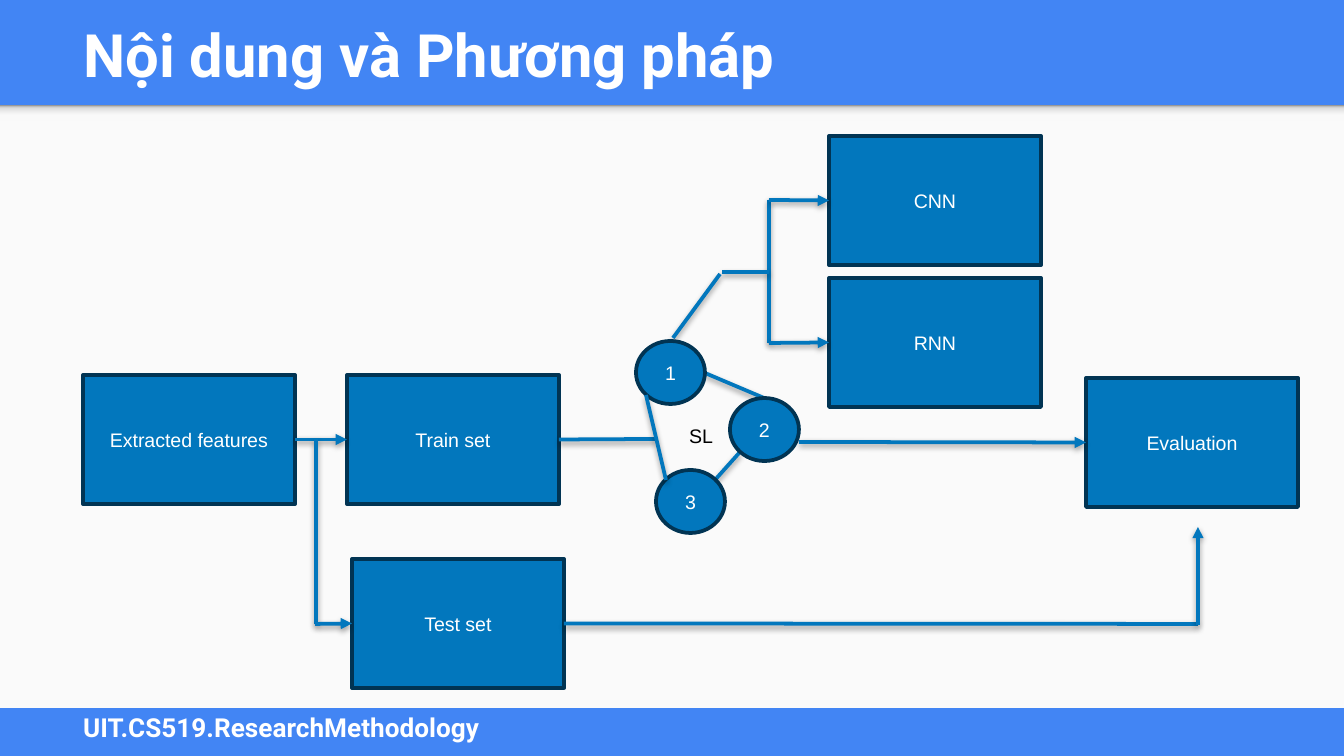
import pptx
import pptx.util
import pptx.dml.color
import pptx.enum.shapes
import pptx.enum.text
import pptx.oxml
import pptx.oxml.ns

PX = 914400 / 134.4
COLORS = {
    "brand": "4285F4",
    "paper": "FAFAFA",
    "node": "0277BD",
    "outline": "013453",
    "white": "FFFFFF",
    "black": "000000",
}
BOX_SIZE = (212, 129)
CIRCLE_SIZE = (69, 63)
TOP, LEFT, BOTTOM, RIGHT = range(4)
NS = pptx.oxml.ns.nsdecls("a")


def emu(*lengths):
    return [pptx.util.Emu(round(length * PX)) for length in lengths]


def rgb(name):
    return pptx.dml.color.RGBColor.from_string(COLORS[name])


def write(frame, text, size=10.5, font="Arial", color="white", bold=False,
          align=None, anchor=pptx.enum.text.MSO_ANCHOR.MIDDLE, wrap=True):
    frame.word_wrap = wrap
    frame.vertical_anchor = anchor
    paragraph = frame.paragraphs[0]
    paragraph.alignment = align
    run = paragraph.add_run()
    run.text = text
    run.font.size = pptx.util.Pt(size)
    run.font.name = font
    run.font.bold = bold
    run.font.color.rgb = rgb(color)


class Diagram:
    def __init__(self, slide):
        self.slide = slide
        slide.background.fill.solid()
        slide.background.fill.fore_color.rgb = rgb("brand")

    def shape(self, kind, left, top, width, height, fill, line=None):
        shape = self.slide.shapes.add_shape(kind, *emu(left, top, width, height))
        shape.shadow.inherit = False
        shape.fill.solid()
        shape.fill.fore_color.rgb = rgb(fill)
        if line:
            shape.line.color.rgb = rgb(line)
            shape.line.width = pptx.util.Pt(2)
        else:
            shape.line.fill.background()
        return shape

    def panel(self, *bounds):
        return self.shape(pptx.enum.shapes.MSO_SHAPE.RECTANGLE, *bounds, "paper")

    def header_shade(self, *bounds):
        """Draw a strip that darkens toward its top edge."""
        strip = self.panel(*bounds)
        stops = ((0, "F9F9F9"), (36, "F9F9F9"), (80, "DEDEDE"), (100, "999999"))
        stop_xml = "".join(
            f'<a:gs pos="{pos * 1000}"><a:srgbClr val="{color}"/></a:gs>'
            for pos, color in stops)
        gradient = pptx.oxml.parse_xml(
            f'<a:gradFill {NS}><a:gsLst>{stop_xml}</a:gsLst>'
            '<a:lin ang="16200000" scaled="0"/></a:gradFill>')
        properties = strip.element.spPr
        solid = properties.find(pptx.oxml.ns.qn("a:solidFill"))
        properties.replace(solid, gradient)

    def label(self, text, left, top, width, height, **style):
        box = self.slide.shapes.add_textbox(*emu(left, top, width, height))
        write(box.text_frame, text, **style)

    def node(self, kind, text, left, top, size):
        node = self.shape(kind, left, top, *size, "node", "outline")
        write(node.text_frame, text, align=pptx.enum.text.PP_ALIGN.CENTER)
        return node

    def box(self, text, left, top):
        return self.node(pptx.enum.shapes.MSO_SHAPE.RECTANGLE, text, left, top, BOX_SIZE)

    def circle(self, text, left, top):
        return self.node(pptx.enum.shapes.MSO_SHAPE.OVAL, text, left, top, CIRCLE_SIZE)

    def link(self, start, end, arrow=False, source=None, target=None):
        """Join two points; source and target are boxes left at the right, entered at the left."""
        link = self.slide.shapes.add_connector(
            pptx.enum.shapes.MSO_CONNECTOR.STRAIGHT, *emu(*start, *end))
        if source is not None:
            link.begin_connect(source, RIGHT)
        if target is not None:
            link.end_connect(target, LEFT)
        link.line.color.rgb = rgb("node")
        link.line.width = pptx.util.Pt(2)
        if arrow:
            link.line._get_or_add_ln().append(
                pptx.oxml.parse_xml(f'<a:tailEnd {NS} type="triangle"/>'))
        link.element.spPr.append(pptx.oxml.parse_xml(
            f'<a:effectLst {NS}><a:outerShdw blurRad="40000" dist="20000" dir="5400000" '
            'rotWithShape="0"><a:srgbClr val="000000"><a:alpha val="38000"/></a:srgbClr>'
            '</a:outerShdw></a:effectLst>'))


def main():
    deck = pptx.Presentation()
    deck.slide_width, deck.slide_height = emu(1344, 756)
    diagram = Diagram(deck.slides.add_slide(deck.slide_layouts[6]))

    diagram.panel(0, 107, 1344, 601)
    diagram.header_shade(0, 105, 1344, 16)
    heading = dict(font="Roboto", bold=True)
    diagram.label("UIT.CS519.ResearchMethodology", 70, 706, 1195, 43, size=14, **heading)
    diagram.label("Nội dung và Phương pháp", 70, 0, 1208, 108, size=32, **heading)

    features = diagram.box("Extracted features", 83, 375)
    cnn = diagram.box("CNN", 829, 136)
    rnn = diagram.box("RNN", 829, 278)
    train = diagram.box("Train set", 347, 375)
    test = diagram.box("Test set", 352, 559)
    evaluation = diagram.box("Evaluation", 1086, 378)

    # Data split
    diagram.link((295, 439), (347, 439), arrow=True, source=features, target=train)
    diagram.link((316, 439), (316, 624))
    diagram.link((315, 624), (352, 624), arrow=True, target=test)
    diagram.link((559, 439), (656, 439), source=train)

    # Fork to the two networks
    diagram.link((769, 200), (769, 343))
    diagram.link((769, 200), (829, 200), arrow=True, target=cnn)
    diagram.link((769, 343), (829, 343), arrow=True, target=rnn)
    diagram.link((769, 272), (722, 272))
    diagram.link((720, 274), (673, 338))

    # Learning loop
    diagram.label("SL", 676, 417, 51, 37, color="black", wrap=False,
                  anchor=pptx.enum.text.MSO_ANCHOR.TOP)
    diagram.link((705, 373), (764, 398))
    diagram.link((740, 452), (715, 480))
    for text, left, top in (("1", 636, 341), ("2", 730, 398), ("3", 656, 470)):
        diagram.circle(text, left, top)
    diagram.link((646, 395), (666, 480))

    # Evaluation
    diagram.link((799, 442), (1086, 442), arrow=True, target=evaluation)
    diagram.link((564, 624), (1198, 624), source=test)
    diagram.link((1198, 625), (1198, 527), arrow=True)

    deck.save("out.pptx")


if __name__ == "__main__":
    main()
